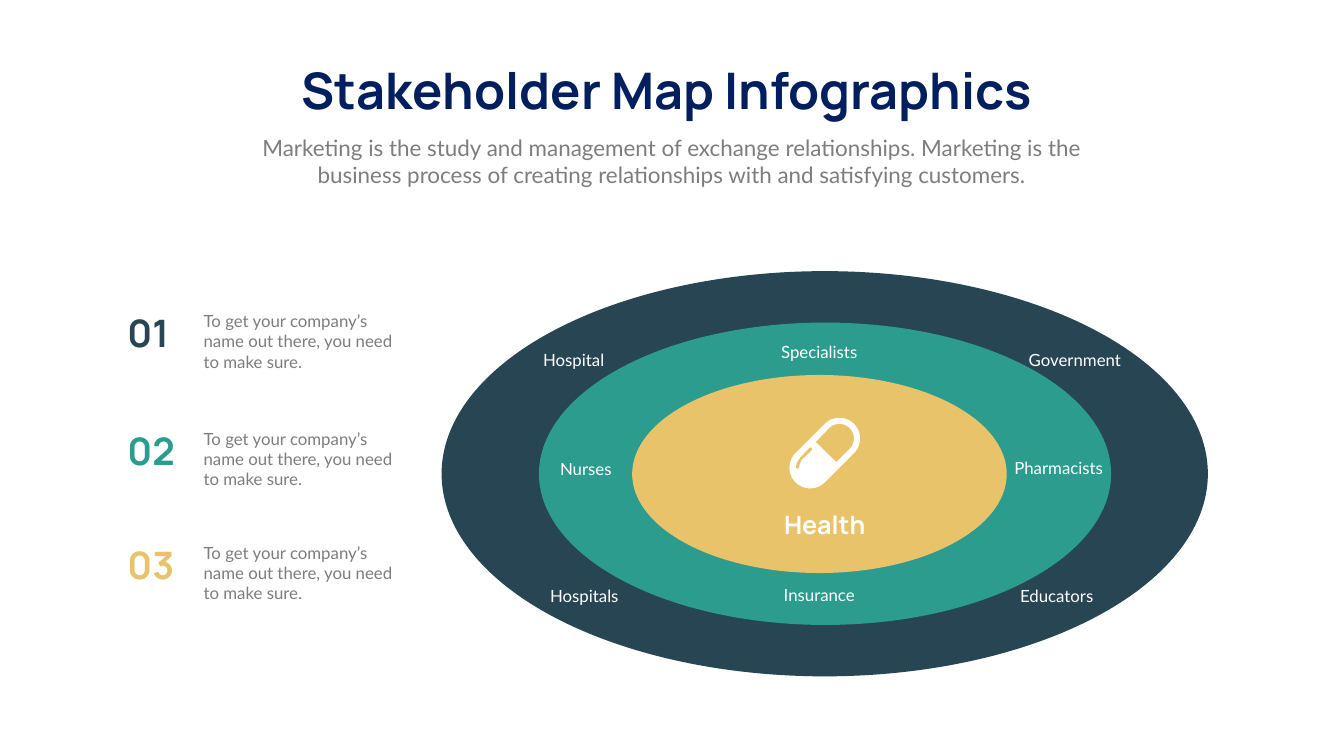
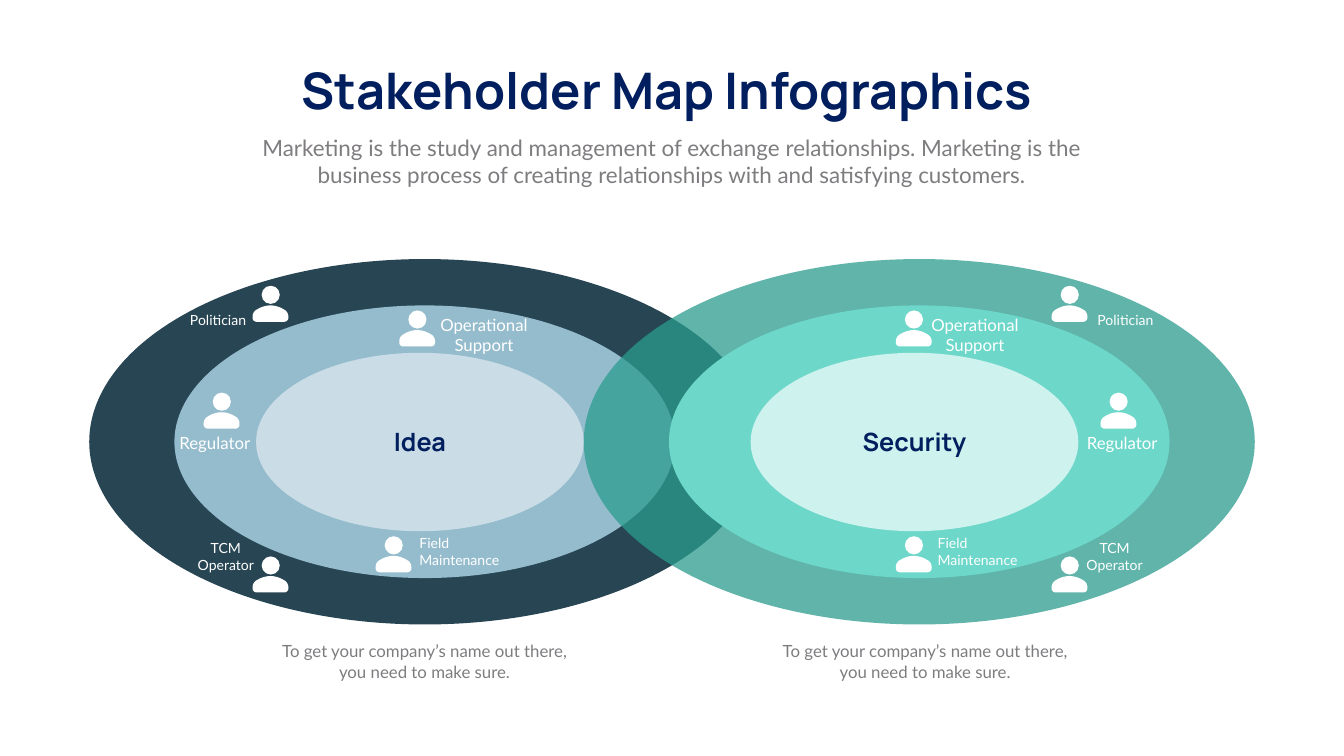
import math
from dataclasses import dataclass
from typing import Any, NamedTuple

import lxml.etree
import pptx
import pptx.dml.color
import pptx.enum.shapes
import pptx.enum.text
import pptx.oxml.ns
import pptx.util

PX = 9144  # EMU in one px, 100 px to the inch
CENTER = pptx.enum.text.PP_ALIGN.CENTER
LEFT = pptx.enum.text.PP_ALIGN.LEFT
OVAL = pptx.enum.shapes.MSO_SHAPE.OVAL

Point = tuple[float, float]


@dataclass(frozen=True)
class Theme:
    head: str = "Manrope"
    body: str = "Lato"
    navy: str = "011F5E"
    grey: str = "7E7C7F"
    white: str = "FFFFFF"
    slate: str = "274553"
    teal: str = "2B9C8E"
    gold: str = "E8C369"
    sky: str = "95BCCD"
    mist: str = "CADDE6"
    mint: str = "6DD7CA"
    foam: str = "CEF2ED"
    title: int = 72
    count: int = 54
    core: int = 36
    lead: int = 32
    text: int = 24
    small: int = 20


THEME = Theme()


class Box(NamedTuple):
    x: int
    y: int
    w: int
    h: int

    def emu(self) -> list[int]:
        return [side * PX for side in self]


class Style(NamedTuple):
    font: str
    size: int
    color: str
    align: Any = CENTER
    bold: bool = False


class Ring(NamedTuple):
    box: Box
    color: str
    alpha: int = 100


class Label(NamedTuple):
    text: str
    x: int
    y: int


class Role(NamedTuple):
    """A stakeholder shown on both maps; each pair of x is left map, right map."""
    text: str
    style: Style
    text_x: tuple[int, int]
    text_y: int
    w: int
    h: int
    icon_x: tuple[int, int]
    icon_y: int


TITLE = Style(THEME.head, THEME.title, THEME.navy, bold=True)
LEAD = Style(THEME.body, THEME.lead, THEME.grey)
NOTE = Style(THEME.body, THEME.text, THEME.grey)
TAG = Style(THEME.body, THEME.text, THEME.white)
SMALL = Style(THEME.body, THEME.small, THEME.white)
CORE = Style(THEME.head, THEME.core, THEME.navy, bold=True)


def rgb(color: str) -> pptx.dml.color.RGBColor:
    return pptx.dml.color.RGBColor.from_string(color)


def write(shape: Any, text: str, style: Style, wrap: bool = True) -> None:
    frame = shape.text_frame
    frame.word_wrap = wrap
    frame.auto_size = pptx.enum.text.MSO_AUTO_SIZE.SHAPE_TO_FIT_TEXT
    frame.vertical_anchor = pptx.enum.text.MSO_ANCHOR.TOP
    line = frame.paragraphs[0]
    line.alignment = style.align
    run = line.add_run()
    run.text = text
    run.font.name = style.font
    run.font.size = pptx.util.Pt(style.size)
    run.font.bold = style.bold
    run.font.color.rgb = rgb(style.color)


def add_text(slide: Any, box: Box, text: str, style: Style) -> None:
    write(slide.shapes.add_textbox(*box.emu()), text, style)


def paint(shape: Any, color: str, alpha: int = 100) -> None:
    shape.shadow.inherit = False
    shape.fill.solid()
    shape.fill.fore_color.rgb = rgb(color)
    shape.line.fill.background()
    if alpha < 100:
        tint = shape.element.spPr.find(".//" + pptx.oxml.ns.qn("a:srgbClr"))
        mark = lxml.etree.SubElement(tint, pptx.oxml.ns.qn("a:alpha"))
        mark.set("val", str(alpha * 1000))


def add_rings(slide: Any, rings: list[Ring]) -> None:
    group = slide.shapes.add_group_shape()
    for ring in rings:
        paint(group.shapes.add_shape(OVAL, *ring.box.emu()), ring.color, ring.alpha)


def arc(center: Point, radius: float, start: int, end: int) -> list[Point]:
    angles = [math.radians(a) for a in range(start, end + 1, 6)]
    return [(center[0] + radius * math.cos(a), center[1] + radius * math.sin(a))
            for a in angles]


def curve(a: Point, b: Point, c: Point, d: Point, steps: int = 8) -> list[Point]:
    """Points along a cubic Bézier curve."""
    points = []
    for step in range(steps + 1):
        t = step / steps
        u = 1 - t
        parts = (u ** 3, 3 * u * u * t, 3 * u * t * t, t ** 3)
        points.append((sum(k * p[0] for k, p in zip(parts, (a, b, c, d))),
                       sum(k * p[1] for k, p in zip(parts, (a, b, c, d)))))
    return points


def add_outline(shapes: Any, loops: list[list[Point]], color: str) -> None:
    """Draw closed loops as one shape; loops inside the first become holes."""
    scaled = [[(x * PX, y * PX) for x, y in loop] for loop in loops]
    pen = shapes.build_freeform(*scaled[0][0], scale=1.0)
    pen.add_line_segments(scaled[0][1:], close=True)
    for loop in scaled[1:]:
        pen.move_to(*loop[0])
        pen.add_line_segments(loop[1:], close=True)
    paint(pen.convert_to_shape(), color)


def add_pill(slide: Any) -> None:
    top, base = (1665, 870), (1607, 928)
    shell = arc(top, 41, -135, 45) + arc(base, 41, 45, 225)
    half = arc(top, 29, -135, 45) + [(1659, 917), (1618, 877)]
    gleam = [(1611, 893), (1591, 912), (1587, 919), (1585, 928), (1582, 931),
             (1578, 928), (1581, 917), (1587, 908), (1606, 888), (1610, 888)]
    add_outline(slide.shapes, [shell, half, gleam], THEME.white)


def add_person(slide: Any, x: int, y: int) -> None:
    width, drop, head = 71, 39, 36
    left = (curve((35.5, 0), (25, 0), (15, 4), (9, 8))
            + curve((9, 8), (4, 10), (0, 16), (0, 22))
            + curve((0, 25), (0, 29), (4, 32.5), (8, 32.5)))
    right = [(width - px, py) for px, py in reversed(left)]
    body = [(x + px, y + drop + py) for px, py in left + right]
    group = slide.shapes.add_group_shape()
    add_outline(group.shapes, [body], THEME.white)
    face = Box(x + 18, y, head, head)
    paint(group.shapes.add_shape(OVAL, *face.emu()), THEME.white)


def add_slide(deck: Any) -> Any:
    slide = deck.slides.add_slide(deck.slide_layouts[5])
    title = slide.shapes.title
    title.left, title.top, title.width, title.height = Box(530, 112, 1606, 131).emu()
    write(title, "Stakeholder Map Infographics ", TITLE, wrap=False)
    add_text(slide, Box(458, 261, 1749, 118),
             "Marketing is the study and management of exchange relationships. "
             "Marketing is the business process of creating relationships with "
             "and satisfying customers.", LEAD)
    return slide


def add_health(deck: Any) -> None:
    slide = add_slide(deck)
    add_rings(slide, [
        Ring(Box(876, 538, 1520, 804), THEME.slate),
        Ring(Box(1069, 640, 1135, 600), THEME.teal),
        Ring(Box(1254, 744, 743, 393), THEME.gold),
    ])
    add_text(slide, Box(1473, 1005, 326, 71), "Health", CORE._replace(color=THEME.white))
    labels = [
        Label("Specialists", 1496, 674),
        Label("Insurance", 1496, 1156),
        Label("Nurses", 1033, 906),
        Label("Pharmacists", 1971, 904),
        Label("Hospital", 1009, 688),
        Label("Educators", 1967, 1157),
        Label("Hospitals", 1030, 1157),
        Label("Government", 2003, 688),
    ]
    for label in labels:
        add_text(slide, Box(label.x, label.y, 258, 50), label.text, TAG)
    add_pill(slide)
    points = [(612, THEME.slate), (845, THEME.teal), (1072, THEME.gold)]
    for count, (y, color) in enumerate(points, 1):
        add_text(slide, Box(394, y, 397, 131),
                 "To get your company’s name out there, you need to make sure.",
                 NOTE._replace(align=LEFT))
        add_text(slide, Box(243, y - 2, 123, 101), f"{count:02}",
                 Style(THEME.head, THEME.count, color, LEFT, True))


def add_pair(deck: Any) -> None:
    slide = add_slide(deck)
    step = 981
    boxes = [Box(177, 514, 1331, 725), Box(346, 606, 993, 541), Box(508, 700, 650, 354)]
    maps = [
        ("Idea", 538, [(THEME.slate, 100), (THEME.sky, 100), (THEME.mist, 100)]),
        ("Security", 1531, [(THEME.teal, 75), (THEME.mint, 100), (THEME.foam, 100)]),
    ]
    for side, (name, note_x, fills) in enumerate(maps):
        shift = side * step
        add_rings(slide, [Ring(box._replace(x=box.x + shift), *fill)
                          for box, fill in zip(boxes, fills)])
        add_text(slide, Box(670 + shift, 841, 326, 71), name, CORE)
        add_text(slide, Box(note_x, 1267, 608, 91),
                 "To get your company’s name out there, you need to make sure.", NOTE)

    flush = SMALL._replace(align=LEFT)
    roles = [
        Role("Politician", flush, (367, 2167), 613, 217, 44, (501, 2086), 567),
        Role("Regulator", TAG, (339, 2139), 854, 174, 50, (404, 2183), 779),
        Role("Operational Support", TAG, (852, 1826), 619, 216, 91, (792, 1777), 616),
        Role("Field Maintenance", flush, (822, 1850), 1056, 192, 77, (745, 1777), 1064),
        Role("TCM Operator", SMALL, (361, 2124), 1065, 174, 77, (501, 2086), 1104),
    ]
    for role in roles:
        for text_x, icon_x in zip(role.text_x, role.icon_x):
            add_person(slide, icon_x, role.icon_y)
            add_text(slide, Box(text_x, role.text_y, role.w, role.h), role.text, role.style)


def main() -> None:
    deck = pptx.Presentation()
    deck.slide_width, deck.slide_height = 2666 * PX, 1500 * PX
    add_health(deck)
    add_pair(deck)
    deck.save("out.pptx")


if __name__ == "__main__":
    main()
